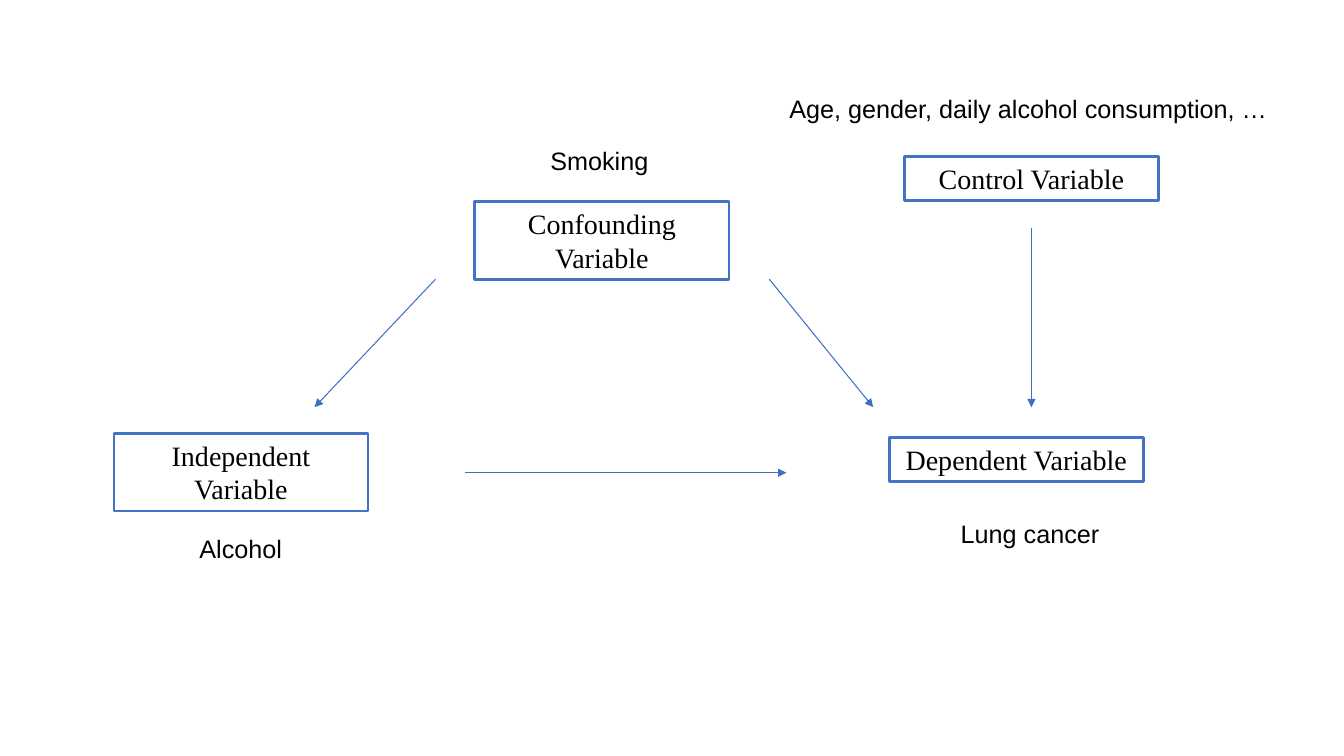
from lxml import etree
from pptx import Presentation
from pptx import util as u
from pptx.dml.color import RGBColor
from pptx.enum import shapes, text
from pptx.oxml import ns

# Content: lengths in px, 100 px to the inch
PX = 9144
COLORS = {"fill": "FFFFFF", "border": "4472C4", "arrow": "3F6FC3", "text": "000000"}
BOX_W = 252
LINE_H = {1: 44, 2: 77}  # box height by number of text lines
LABEL_H = 40

VARIABLES = [  # text, left, top, text lines
    ("Independent Variable", 113, 430, 2),
    ("Dependent Variable", 882, 434, 1),
    ("Confounding Variable", 471, 200, 2),
    ("Control Variable", 897, 155, 1),
]
ARROWS = [  # start x, start y, end x, end y
    (432, 277, 312, 404),
    (763, 277, 866, 404),
    (1023, 226, 1023, 404),
    (461, 469, 780, 469),
]
EXAMPLES = [  # text, left, top, width
    ("Alcohol", 188, 524, 103),
    ("Lung cancer", 943, 509, 160),
    ("Smoking", 536, 139, 123),
    ("Age, gender, daily alcohol consumption, …", 773, 88, 501),
]


def px(*lengths):
    return [u.Emu(n * PX) for n in lengths]


def color(name):
    return RGBColor.from_string(COLORS[name])


def write(tf, content, font, size, align):
    p = tf.paragraphs[0]
    p.alignment = align
    r = p.add_run()
    r.text = content
    r.font.name = font
    r.font.size = u.Pt(size)
    r.font.color.rgb = color("text")


prs = Presentation()
prs.slide_width, prs.slide_height = px(1333, 750)
s = prs.slides.add_slide(prs.slide_layouts[6])

# Variable boxes
for content, left, top, lines in VARIABLES:
    sp = s.shapes.add_shape(shapes.MSO_SHAPE.RECTANGLE, *px(left, top, BOX_W, LINE_H[lines]))
    sp.shadow.inherit = False
    sp.fill.solid()
    sp.fill.fore_color.rgb = color("fill")
    sp.line.color.rgb = color("border")
    sp.line.width = u.Pt(2)
    tf = sp.text_frame
    tf.word_wrap = True
    tf.vertical_anchor = text.MSO_ANCHOR.TOP
    write(tf, content, "Times New Roman", 20, text.PP_ALIGN.CENTER)

# Arrows between variables
for ends in ARROWS:
    arrow = s.shapes.add_connector(shapes.MSO_CONNECTOR.STRAIGHT, *px(*ends))
    arrow.line.color.rgb = color("arrow")
    arrow.line.width = u.Pt(0.75)
    etree.SubElement(arrow.line._get_or_add_ln(), ns.qn("a:tailEnd"), type="triangle")
    etree.SubElement(arrow._element.spPr, ns.qn("a:effectLst"))

# Example of each variable
for content, left, top, width in EXAMPLES:
    tf = s.shapes.add_textbox(*px(left, top, width, LABEL_H)).text_frame
    tf.word_wrap = False
    write(tf, content, "Arial", 18, text.PP_ALIGN.LEFT)

prs.save("out.pptx")
